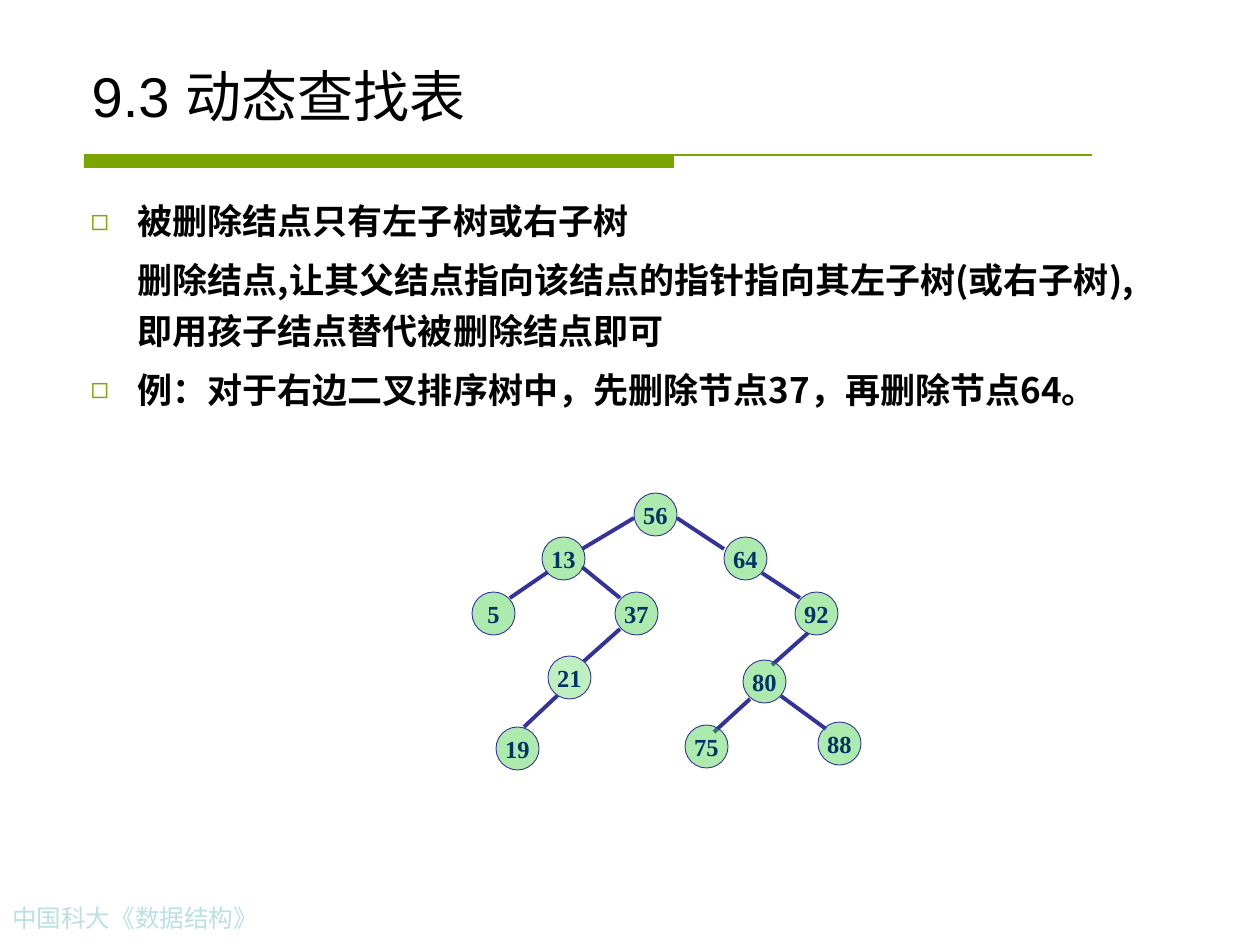
from lxml import etree
from pptx import Presentation
from pptx.dml.color import RGBColor
from pptx.enum.shapes import MSO_CONNECTOR, MSO_SHAPE
from pptx.enum.text import MSO_ANCHOR, MSO_AUTO_SIZE, PP_ALIGN
from pptx.oxml.ns import qn
from pptx.util import Emu, Pt

STRAIGHT = MSO_CONNECTOR.STRAIGHT
OVAL, RECTANGLE = MSO_SHAPE.OVAL, MSO_SHAPE.RECTANGLE
LEFT, CENTER = PP_ALIGN.LEFT, PP_ALIGN.CENTER
MIDDLE, BOTTOM = MSO_ANCHOR.MIDDLE, MSO_ANCHOR.BOTTOM
NO_FIT = MSO_AUTO_SIZE.NONE
PIXELS_PER_INCH = 126
GREEN, NAVY = "7BA600", "333399"
CHINESE_FONT = "Noto Sans CJK SC"
NODE_SIZE = 43
INDENT = 47

TITLE_FORMAT = {"size": Pt(32), "name": "Arial", "bold": False}
BODY_FORMAT = {"size": Pt(20), "name": CHINESE_FONT, "bold": True}
FOOTER_FORMAT = {"size": Pt(14), "name": "Times New Roman", "bold": False}
NODE_FORMAT = {"size": Pt(14), "name": "Times New Roman", "bold": True}

BODY = [
    ("被删除结点只有左子树或右子树", True),
    ("删除结点,让其父结点指向该结点的指针指向其左子树(或右子树),即用孩子结点替代被删除结点即可", False),
    ("例：对于右边二叉排序树中，先删除节点37，再删除节点64。", True),
]
NODES = {
    "56": (634, 493), "13": (542, 537), "64": (724, 537), "5": (472, 592),
    "37": (615, 592), "92": (795, 592), "21": (548, 656), "80": (743, 660),
    "19": (496, 727), "75": (685, 725), "88": (818, 722),
}
EDGES = [
    (634, 518, 582, 549), (677, 518, 724, 549), (548, 572, 510, 598),
    (582, 567, 620, 598), (762, 573, 800, 598), (620, 629, 583, 662),
    (808, 633, 772, 665), (558, 695, 524, 727), (750, 699, 714, 732),
    (781, 696, 826, 729),
]


def px(value):
    """Turn pixels into EMU."""
    return Emu(round(value * 914400 / PIXELS_PER_INCH))


def color(value):
    """Turn a hex string into a colour."""
    return RGBColor.from_string(value)


def place(shape, left, top, width, height):
    """Move and size a shape."""
    box = {"left": left, "top": top, "width": width, "height": height}
    for name, value in box.items():
        setattr(shape, name, px(value))


def add_text(paragraph, text, formats, ink="000000", align=LEFT):
    """Write one formatted run, with a font for its Chinese letters."""
    paragraph.alignment = align
    run = paragraph.add_run()
    run.text = text
    for name, value in formats.items():
        setattr(run.font, name, value)
    run.font.color.rgb = color(ink)
    east_asian = etree.SubElement(run.font._element, qn("a:ea"))
    east_asian.set("typeface", CHINESE_FONT)


def set_bullet(paragraph, bulleted):
    """Indent a paragraph and give it a hollow square or no bullet."""
    properties = paragraph._p.get_or_add_pPr()
    properties.set("marL", str(px(INDENT)))
    properties.set("indent", str(-px(INDENT) if bulleted else 0))
    if not bulleted:
        etree.SubElement(properties, qn("a:buNone"))
        return
    bullet_color = etree.SubElement(properties, qn("a:buClr"))
    etree.SubElement(bullet_color, qn("a:srgbClr")).set("val", "7CA800")
    etree.SubElement(properties, qn("a:buSzPct")).set("val", "85000")
    etree.SubElement(properties, qn("a:buFont")).set("typeface", "Arial")
    etree.SubElement(properties, qn("a:buChar")).set("char", "◻")


def add_title(slide):
    """Fill the title placeholder."""
    title = slide.shapes.title
    place(title, 79, 42, 1102, 93)
    frame = title.text_frame
    frame.auto_size = NO_FIT
    frame.vertical_anchor = BOTTOM
    add_text(frame.paragraphs[0], "9.3 动态查找表", TITLE_FORMAT)


def add_body(slide):
    """Fill the body placeholder with the list."""
    body = slide.placeholders[1]
    place(body, 78, 185, 1102, 684)
    frame = body.text_frame
    frame.auto_size = NO_FIT
    for index, (text, bulleted) in enumerate(BODY):
        paragraph = frame.add_paragraph() if index else frame.paragraphs[0]
        paragraph.line_spacing = 1.2
        paragraph.space_before = Pt(5 if index else 0)
        set_bullet(paragraph, bulleted)
        add_text(paragraph, text, BODY_FORMAT)


def add_line(slide, ends, ink, width):
    """Draw a straight line without a shadow."""
    line = slide.shapes.add_connector(STRAIGHT, *map(px, ends))
    line.line.color.rgb = color(ink)
    line.line.width = Pt(width)
    etree.SubElement(line._element.spPr, qn("a:effectLst"))


def add_rule(slide):
    """Draw the thick and thin rule under the title."""
    bar = slide.shapes.add_shape(RECTANGLE, *map(px, (84, 155, 590, 13)))
    bar.shadow.inherit = False
    bar.fill.solid()
    bar.fill.fore_color.rgb = color(GREEN)
    bar.line.fill.background()
    add_line(slide, (84, 155, 1092, 155), GREEN, 0.75)


def add_footer(slide):
    """Write the course name at the bottom left."""
    box = slide.shapes.add_textbox(*map(px, (0, 897, 392, 43)))
    box.text_frame.word_wrap = True
    add_text(box.text_frame.paragraphs[0], "中国科大《数据结构》", FOOTER_FORMAT, "BBE0E3")


def add_node(slide, label, left, top):
    """Draw one labelled tree node; node 21 is opaque and paler."""
    node = slide.shapes.add_shape(OVAL, px(left), px(top), px(NODE_SIZE), px(NODE_SIZE))
    opaque = label == "21"
    node.shadow.inherit = False
    node.fill.solid()
    node.fill.fore_color.rgb = color("BFEFBF" if opaque else "33CC33")
    if not opaque:
        fill_color = node._element.spPr.find(qn("a:solidFill"))[0]
        etree.SubElement(fill_color, qn("a:alpha")).set("val", "40000")
    node.line.color.rgb = color(NAVY)
    node.line.width = Pt(0.5)
    frame = node.text_frame
    frame.word_wrap = False
    frame.vertical_anchor = MIDDLE
    add_text(frame.paragraphs[0], label, NODE_FORMAT, "003366", CENTER)


def main():
    """Build the slide and save it."""
    presentation = Presentation()
    presentation.slide_width, presentation.slide_height = px(1260), px(945)
    slide = presentation.slides.add_slide(presentation.slide_layouts[1])
    add_rule(slide)
    add_footer(slide)
    add_title(slide)
    add_body(slide)
    for ends in EDGES:
        add_line(slide, ends, NAVY, 2.25)
    for label, position in NODES.items():
        add_node(slide, label, *position)
    presentation.save("out.pptx")


if __name__ == "__main__":
    main()
